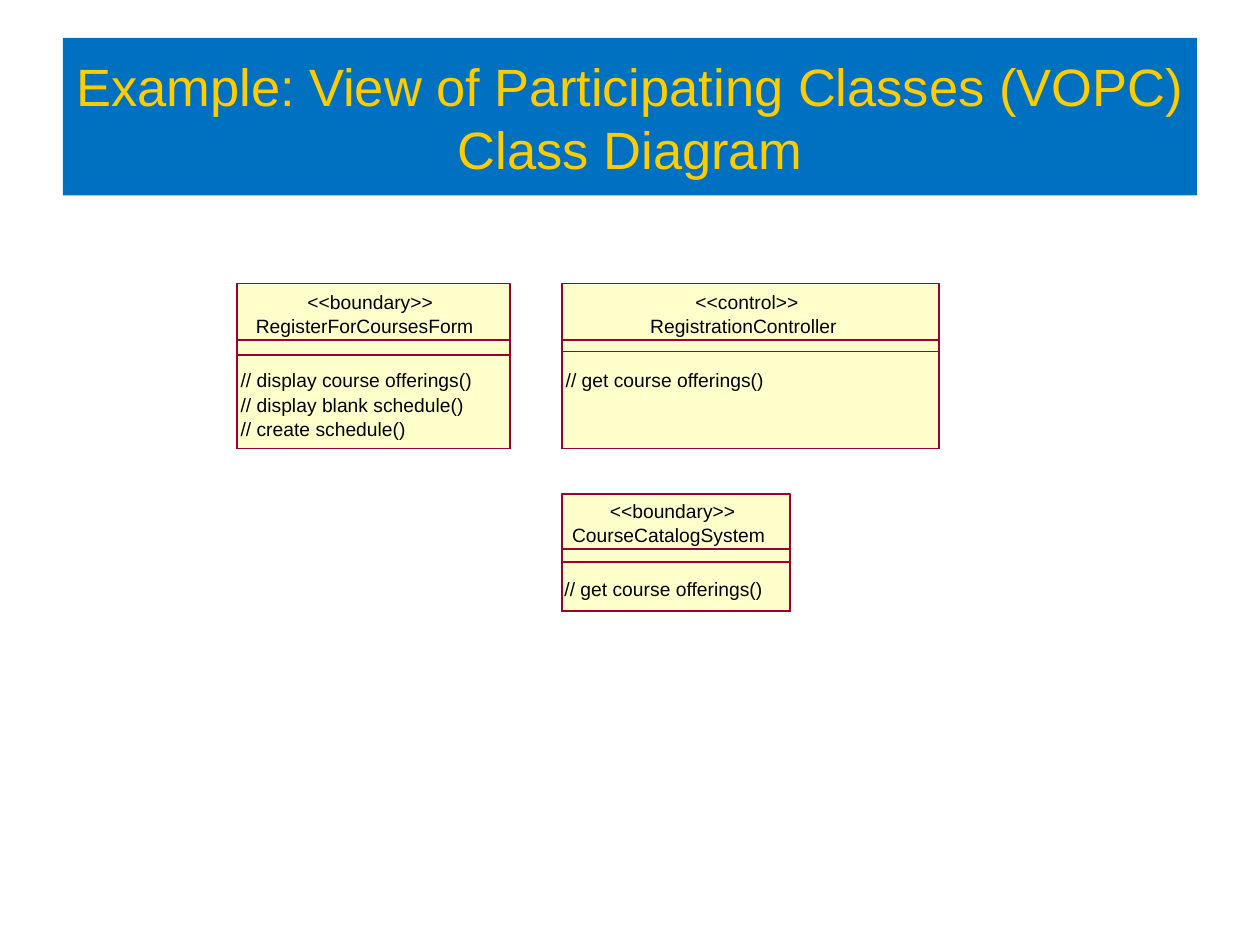
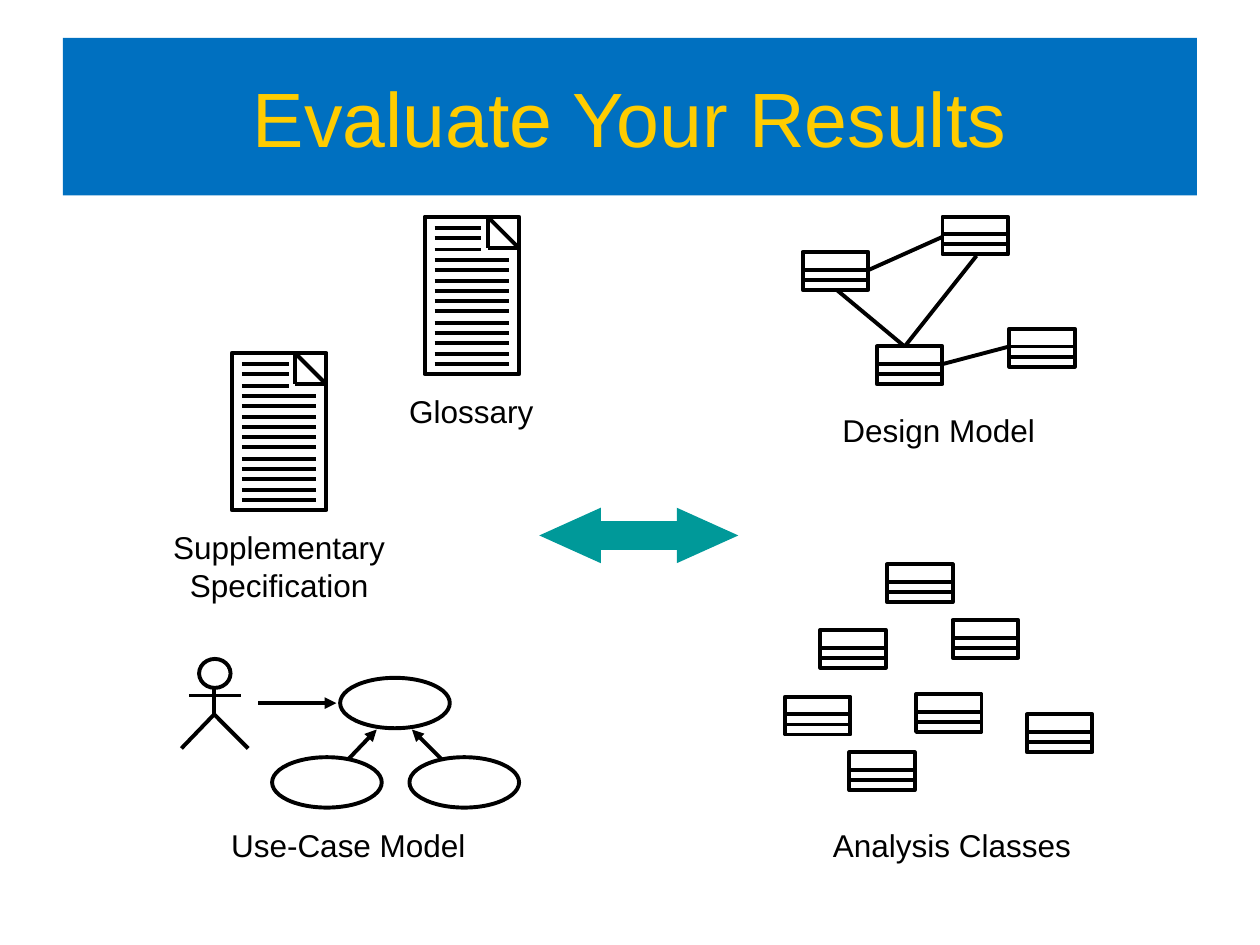
from dataclasses import dataclass

from lxml import etree
from pptx import Presentation
from pptx.dml.color import RGBColor
from pptx.enum.shapes import MSO_CONNECTOR, MSO_SHAPE
from pptx.enum.text import MSO_ANCHOR, PP_ALIGN
from pptx.oxml.ns import qn
from pptx.util import Pt

RECT, OVAL = MSO_SHAPE.RECTANGLE, MSO_SHAPE.OVAL
TWO_WAY = MSO_SHAPE.LEFT_RIGHT_ARROW
STRAIGHT = MSO_CONNECTOR.STRAIGHT
LEFT, CENTER = PP_ALIGN.LEFT, PP_ALIGN.CENTER
TOP, MIDDLE = MSO_ANCHOR.TOP, MSO_ANCHOR.MIDDLE

PX = 9144  # EMU per px, 100 px to the inch
FONT = "Arial"
BLACK, BAND, TITLE = "000000", "0070C0", "FFCC00"
CLASS_FILL, CLASS_LINE, ARROW = "FFFFCC", "990033", "009999"
THIN, THICK = 1, 2.25
ICON_W, ICON_H = 52, 30
OVAL_W, OVAL_H = 87, 40


@dataclass
class UmlClass:
    x: int
    y: int
    w: int
    h: int
    attrs: int  # top of the attribute row, from y
    ops: int  # top of the operation part, from y
    stereotype: str
    stereotype_x: int
    name: str
    name_x: int
    ops_x: int
    operations: list[str]


@dataclass
class Label:
    x: int
    y: int
    w: int
    lines: list[str]


CLASSES = [
    UmlClass(188, 225, 217, 131, 45, 57, "<<boundary>>", 244,
             "RegisterForCoursesForm", 203, 191,
             ["// display course offerings()", "// display blank schedule()",
              "// create schedule()"]),
    UmlClass(446, 225, 299, 131, 45, 54, "<<control>>", 552,
             "RegistrationController", 516, 449, ["// get course offerings()"]),
    UmlClass(446, 392, 181, 93, 44, 54, "<<boundary>>", 484,
             "CourseCatalogSystem", 454, 448, ["// get course offerings()"]),
]
LABELS = [
    Label(312, 306, 124, ["Glossary"]),
    Label(126, 414, 191, ["Supplementary", "Specification"]),
    Label(171, 651, 211, ["Use-Case Model"]),
    Label(656, 321, 178, ["Design Model"]),
    Label(649, 651, 213, ["Analysis Classes"]),
]
DOCUMENTS = [(337, 172), (184, 280)]
DESIGN_CLASSES = [(637, 200), (748, 172), (696, 275), (801, 261)]
DESIGN_LINKS = [(718, 275, 664, 230), (690, 214, 748, 188),
                (748, 289, 801, 275), (718, 275, 775, 203)]
ANALYSIS_CLASSES = [(704, 448), (756, 492), (651, 500), (623, 553),
                    (727, 551), (815, 567), (674, 597)]
USE_CASES = [(270, 538), (216, 601), (325, 601)]
USE_CASE_ARROWS = [(205, 558, 267, 558), (276, 603, 299, 579),
                   (351, 603, 327, 579)]


def rgb(color: str) -> RGBColor:
    return RGBColor.from_string(color)


def style(sp, fill: str | None, line: str | None, weight: float) -> None:
    sp.shadow.inherit = False
    if fill:
        sp.fill.solid()
        sp.fill.fore_color.rgb = rgb(fill)
    else:
        sp.fill.background()
    if line:
        sp.line.color.rgb = rgb(line)
        sp.line.width = Pt(weight)
    else:
        sp.line.fill.background()


def add_shape(s, kind, x: int, y: int, w: int, h: int, *, fill: str | None = None,
              line: str | None = BLACK, weight: float = THICK):
    sp = s.shapes.add_shape(kind, x * PX, y * PX, w * PX, h * PX)
    style(sp, fill, line, weight)
    return sp


def add_line(s, x1: int, y1: int, x2: int, y2: int, arrow: bool = False) -> None:
    cn = s.shapes.add_connector(STRAIGHT, x1 * PX, y1 * PX, x2 * PX, y2 * PX)
    cn.line.color.rgb = rgb(BLACK)
    cn.line.width = Pt(THICK)
    props = cn._element.spPr
    if arrow:
        etree.SubElement(props.find(qn("a:ln")), qn("a:tailEnd"), type="triangle")
    etree.SubElement(props, qn("a:effectLst"))


def write(sp, lines: list[str], *, size: float, color: str = BLACK, align=LEFT,
          anchor=TOP, inset: tuple[int, int] = (0, 0)) -> None:
    tf = sp.text_frame
    tf.word_wrap = True
    tf.vertical_anchor = anchor
    tf.margin_left = tf.margin_right = inset[0] * PX
    tf.margin_top = tf.margin_bottom = inset[1] * PX
    for i, text in enumerate(lines):
        p = tf.add_paragraph() if i else tf.paragraphs[0]
        p.alignment = align
        r = p.add_run()
        r.text = text
        r.font.name, r.font.size = FONT, Pt(size)
        r.font.color.rgb = rgb(color)


def add_text(s, x: int, y: int, w: int, h: int, lines: list[str], **fmt) -> None:
    write(s.shapes.add_textbox(x * PX, y * PX, w * PX, h * PX), lines, **fmt)


def add_slide(prs, title: str, size: int):
    s = prs.slides.add_slide(prs.slide_layouts[6])
    band = add_shape(s, RECT, 50, 30, 900, 125, fill=BAND, line=None)
    write(band, [title], size=size, color=TITLE, align=CENTER, anchor=MIDDLE,
          inset=(10, 5))
    return s


def draw_uml_class(s, c: UmlClass) -> None:
    for top, fill in ((0, CLASS_FILL), (c.attrs, None), (c.ops, None)):
        add_shape(s, RECT, c.x, c.y + top, c.w, c.h - top, fill=fill,
                  line=CLASS_LINE, weight=THIN)
    divider = c.y + c.attrs
    rows = [(c.stereotype_x, divider - 40, c.stereotype),
            (c.name_x, divider - 21, c.name)]
    rows += [(c.ops_x, divider + 22 + round(19.5 * i), op)
             for i, op in enumerate(c.operations)]
    # Each line of text runs to the right edge of its class
    for x, y, text in rows:
        add_text(s, x, y, c.x + c.w - x, 18, [text], size=11)


def draw_class_icon(s, x: int, y: int) -> None:
    add_shape(s, RECT, x, y, ICON_W, ICON_H)
    for dy in (14, 22):
        add_line(s, x, y + dy, x + ICON_W, y + dy)


def draw_document(s, x: int, y: int) -> None:
    w, h, fold = 75, 125, 25
    add_shape(s, RECT, x, y, w, h)
    left, right, bottom = x + w - fold, x + w, y + fold
    add_line(s, left, y, right, bottom)
    add_line(s, left, y, left, bottom)
    add_line(s, right, bottom, left, bottom)
    for i in range(14):
        line_y = y + 9 + round(i * 108 / 13)
        add_line(s, x + 8, line_y, x + (45 if i < 3 else 67), line_y)


def draw_actor(s) -> None:
    add_shape(s, OVAL, 158, 523, 25, 23)
    add_line(s, 170, 546, 170, 567)
    add_line(s, 150, 552, 191, 552)
    legs = s.shapes.build_freeform(144, 594, scale=PX)
    legs.add_line_segments([(170, 567), (197, 594)], close=False)
    style(legs.convert_to_shape(), None, BLACK, THICK)


def class_diagram_slide(prs) -> None:
    s = add_slide(prs, "Example: View of Participating Classes (VOPC) Class Diagram", 30)
    for c in CLASSES:
        draw_uml_class(s, c)


def results_slide(prs) -> None:
    s = add_slide(prs, "Evaluate Your Results", 44)
    arrow = add_shape(s, TWO_WAY, 428, 403, 158, 44, fill=ARROW, line=None)
    arrow.adjustments[0], arrow.adjustments[1] = 0.52, 1.11

    # Design model and analysis classes
    for x, y in DESIGN_CLASSES + ANALYSIS_CLASSES:
        draw_class_icon(s, x, y)
    for link in DESIGN_LINKS:
        add_line(s, *link)

    # Glossary and specification
    for x, y in DOCUMENTS:
        draw_document(s, x, y)

    # Use-case model
    draw_actor(s)
    for x, y in USE_CASES:
        add_shape(s, OVAL, x, y, OVAL_W, OVAL_H)
    for ends in USE_CASE_ARROWS:
        add_line(s, *ends, arrow=True)

    # Captions
    for lb in LABELS:
        add_text(s, lb.x, lb.y, lb.w, 10 + 30 * len(lb.lines), lb.lines,
                 size=18, align=CENTER, inset=(10, 5))


def main() -> None:
    prs = Presentation()
    prs.slide_width, prs.slide_height = 1000 * PX, 750 * PX
    class_diagram_slide(prs)
    results_slide(prs)
    prs.save("out.pptx")


if __name__ == "__main__":
    main()
